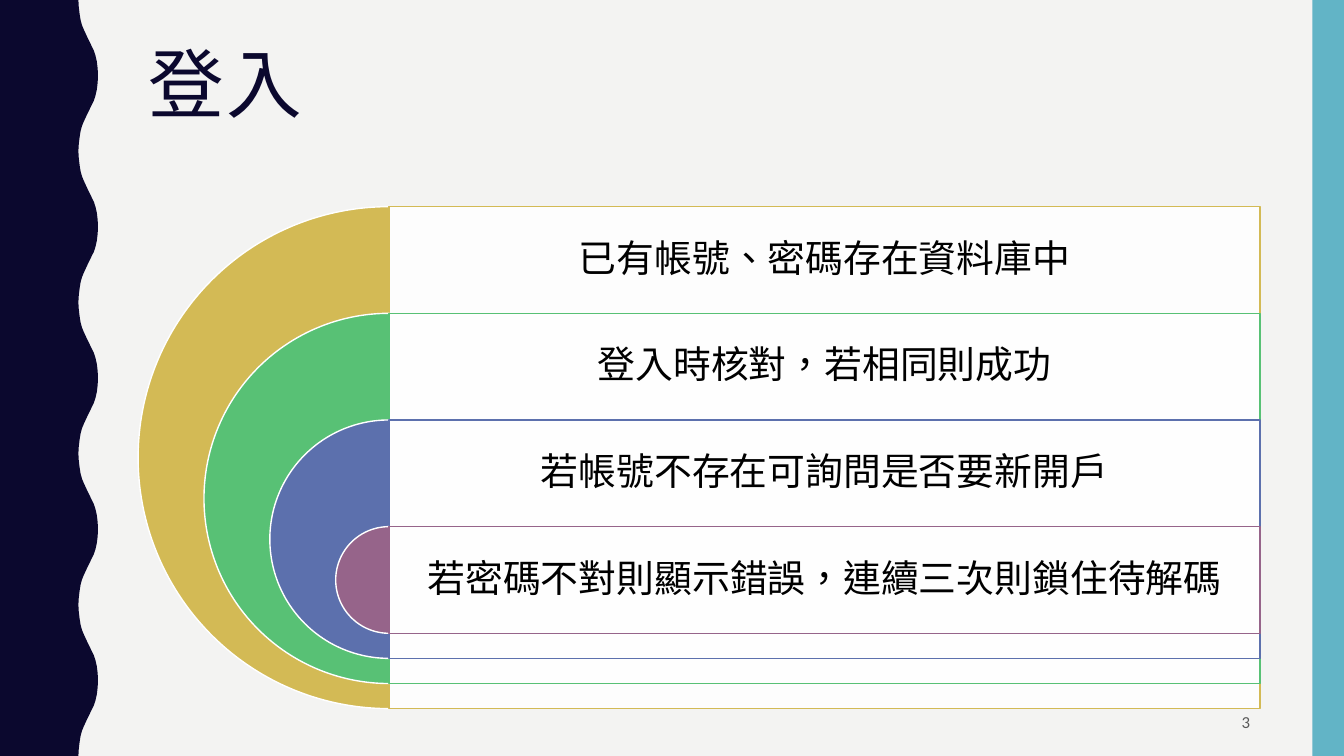
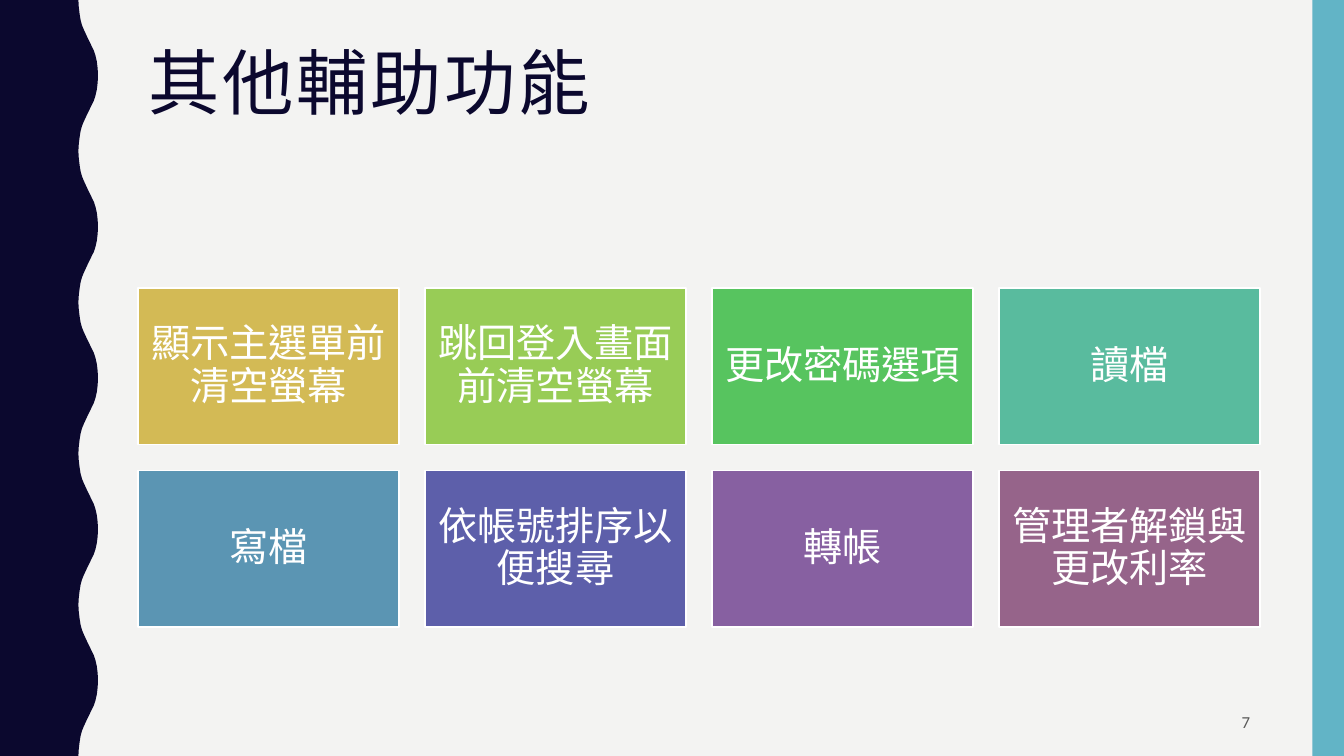
from collections import namedtuple

from lxml.etree import SubElement
from pptx import Presentation
from pptx.dml.color import RGBColor
from pptx.enum.lang import MSO_LANGUAGE_ID
from pptx.enum.shapes import MSO_SHAPE
from pptx.enum.text import MSO_ANCHOR, MSO_AUTO_SIZE, PP_ALIGN
from pptx.oxml.ns import qn
from pptx.util import Pt

Box = namedtuple("Box", "left top width height")

SLIDE = Box(0, 0, 960, 540)
TITLE = Box(98.64, 30.24, 801.36, 117.36)
CONTENT = Box(98.64, 147.6, 801.36, 358.56)
PAGE_NUMBER = Box(678.24, 501.84, 221.76, 27.36)
EDGE_STRIP = Box(937.44, 0, 22.56, 540)

PAPER, NAVY, TEAL = "F3F3F2", "0B082E", "62B4C6"
WHITE, BLACK, GREY = "FFFFFF", "000000", "595959"
TITLE_FONT, BODY_FONT = "Arial Narrow", "Calibri"

# Half a wave of the left band as (x, y); every second half is mirrored.
HALF_WAVE = [
    (56, 0), (56.3, 5), (56.9, 10), (57.6, 14.4), (58.6, 18),
    (59.8, 21), (61.2, 24), (62.6, 27), (64.1, 30), (65.5, 33),
    (67, 36), (68.2, 39.6), (69.2, 44), (69.8, 49), (70, 54),
]
WAVE_COUNT = 5

LOGIN_STEPS = [
    ("已有帳號、密碼存在資料庫中", "D3BA55"),
    ("登入時核對，若相同則成功", "58C175"),
    ("若帳號不存在可詢問是否要新開戶", "5C70AD"),
    ("若密碼不對則顯示錯誤，連續三次則鎖住待解碼", "96648A"),
]
EXTRA_FEATURES = [
    ("顯示主選單前清空螢幕", "D3BA55"),
    ("跳回登入畫面前清空螢幕", "98CC56"),
    ("更改密碼選項", "57C45F"),
    ("讀檔", "59BB9E"),
    ("寫檔", "5B95B3"),
    ("依帳號排序以便搜尋", "5D5FAA"),
    ("轉帳", "8760A1"),
    ("管理者解鎖與更改利率", "96648A"),
]


def rgb(value):
    """Turn a hex string into a colour."""
    return RGBColor.from_string(value)


def in_points(box):
    """Return the four lengths of a box in points."""
    return [Pt(length) for length in box]


def paint(shape, fill, line=None, opacity=None):
    """Give a shape a flat fill, an optional 1 pt outline and no shadow."""
    shape.shadow.inherit = False
    shape.fill.solid()
    shape.fill.fore_color.rgb = rgb(fill)
    if opacity is not None:
        colour = shape._element.spPr.find(qn("a:solidFill"))[0]
        SubElement(colour, qn("a:alpha"), val=str(opacity * 1000))
    if line:
        shape.line.color.rgb = rgb(line)
        shape.line.width = Pt(1)
    else:
        shape.line.fill.background()


def add_block(slide, kind, box, fill, line=None, opacity=None):
    """Add a painted preset shape."""
    block = slide.shapes.add_shape(kind, *in_points(box))
    paint(block, fill, line, opacity)
    return block


def write(shape, text, size, colour, font=BODY_FONT, align=PP_ALIGN.CENTER,
          anchor=MSO_ANCHOR.MIDDLE, margin=None, spacing=0.9):
    """Write one styled paragraph into a shape and return it."""
    frame = shape.text_frame
    frame.word_wrap = True
    frame.auto_size = MSO_AUTO_SIZE.NONE
    frame.vertical_anchor = anchor
    if margin is not None:
        frame.margin_left = frame.margin_right = Pt(margin)
        frame.margin_top = frame.margin_bottom = Pt(margin)
    paragraph = frame.paragraphs[0]
    paragraph.text = text
    paragraph.alignment = align
    paragraph.line_spacing = spacing
    paragraph.font.name = font
    paragraph.font.size = Pt(size)
    paragraph.font.color.rgb = rgb(colour)
    paragraph.font.language_id = MSO_LANGUAGE_ID.TRADITIONAL_CHINESE
    return paragraph


def add_wave_band(slide, box):
    """Draw the dark band with its wavy right edge."""
    half = box.height / (2 * WAVE_COUNT)
    edge = []
    for index in range(2 * WAVE_COUNT):
        start = box.top + index * half
        if index % 2:
            edge += [(x, start + half - y) for x, y in reversed(HALF_WAVE)]
        else:
            edge += [(x, start + y) for x, y in HALF_WAVE]
    outline = [(box.left + x, y) for x, y in edge]
    outline.append((box.left, box.top + box.height))
    builder = slide.shapes.build_freeform(Pt(box.left), Pt(box.top))
    builder.add_line_segments([(Pt(x), Pt(y)) for x, y in outline])
    paint(builder.convert_to_shape(), NAVY)


def add_title(slide, box, text, size):
    """Place and style the title placeholder."""
    title = slide.shapes.title
    title.left, title.top, title.width, title.height = in_points(box)
    heading = write(title, text, size, NAVY, TITLE_FONT, PP_ALIGN.LEFT,
                    MSO_ANCHOR.TOP)
    heading.runs[0]._r.get_or_add_rPr().set("spc", "200")


def add_page_number(slide, box, number):
    """Write the page number at the bottom right."""
    footer = slide.shapes.add_textbox(*in_points(box))
    write(footer, str(number), 12, GREY, align=PP_ALIGN.RIGHT, spacing=1.0)


def add_framed_slide(prs, title, title_size, number):
    """Add a slide with the shared bands, title and page number."""
    slide = prs.slides.add_slide(prs.slide_layouts[5])
    add_wave_band(slide, SLIDE)
    add_block(slide, MSO_SHAPE.RECTANGLE, EDGE_STRIP, TEAL)
    add_title(slide, TITLE, title, title_size)
    add_page_number(slide, PAGE_NUMBER, number)
    return slide


def add_nested_steps(slide, box, steps):
    """Draw nested half discs, each with a panel and its label."""
    row_height = box.height * 0.2125
    shrink = (box.height - row_height) / (len(steps) - 1)
    centre = box.left + box.height / 2
    panel_width = box.left + box.width - centre
    for index, (text, colour) in enumerate(steps):
        diameter = box.height - index * shrink
        top = box.top + index * row_height
        disc = Box(centre - diameter / 2, top, diameter, diameter)
        half_disc = add_block(slide, MSO_SHAPE.PIE, disc, colour, WHITE)
        half_disc.adjustments[0] = 54
        half_disc.adjustments[1] = 162
        panel = Box(centre, top, panel_width, diameter)
        add_block(slide, MSO_SHAPE.RECTANGLE, panel, WHITE, colour, opacity=90)
        row = panel._replace(height=row_height)
        label = slide.shapes.add_textbox(*in_points(row))
        write(label, text, 27, BLACK, margin=8.1)


def add_tile_grid(slide, box, tiles, columns=4):
    """Lay out captioned tiles in a grid centred vertically in the box."""
    rows = -(-len(tiles) // columns)
    width = box.width / (columns + 0.1 * (columns - 1))
    gap, height = width * 0.1, width * 0.6
    grid_height = rows * height + (rows - 1) * gap
    grid_top = box.top + (box.height - grid_height) / 2
    for index, (text, colour) in enumerate(tiles):
        row, column = divmod(index, columns)
        cell = Box(box.left + column * (width + gap),
                   grid_top + row * (height + gap), width, height)
        tile = add_block(slide, MSO_SHAPE.RECTANGLE, cell, colour, WHITE)
        write(tile, text, 28, WHITE, margin=8.4)


def main():
    """Build both slides and save them."""
    prs = Presentation()
    prs.slide_width, prs.slide_height = Pt(SLIDE.width), Pt(SLIDE.height)
    background = prs.slide_master.background.fill
    background.solid()
    background.fore_color.rgb = rgb(PAPER)

    login = add_framed_slide(prs, "登入", 54, 3)
    add_nested_steps(login, CONTENT, LOGIN_STEPS)

    features = add_framed_slide(prs, "其他輔助功能", 51, 7)
    add_tile_grid(features, CONTENT, EXTRA_FEATURES)

    prs.save("out.pptx")


main()
